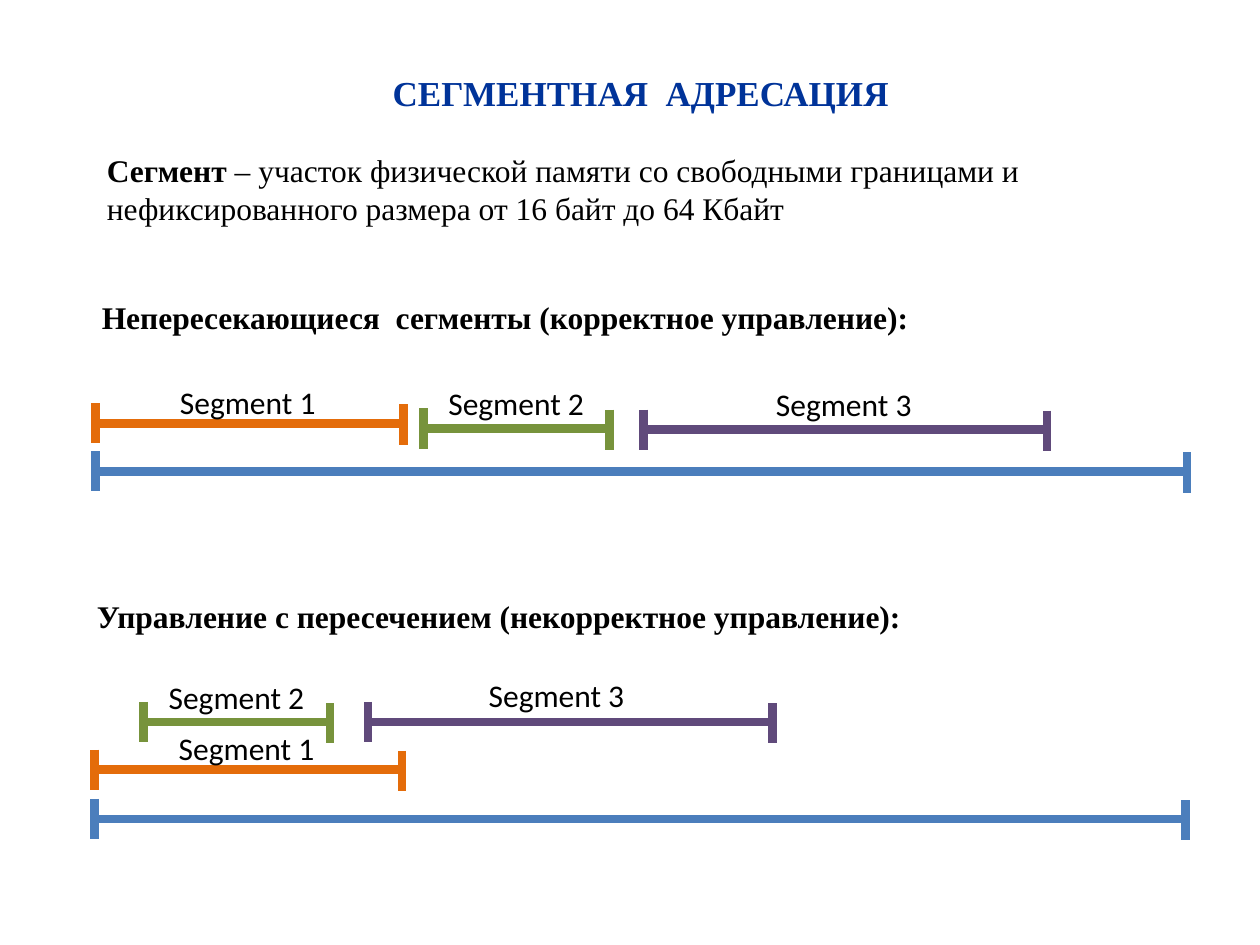
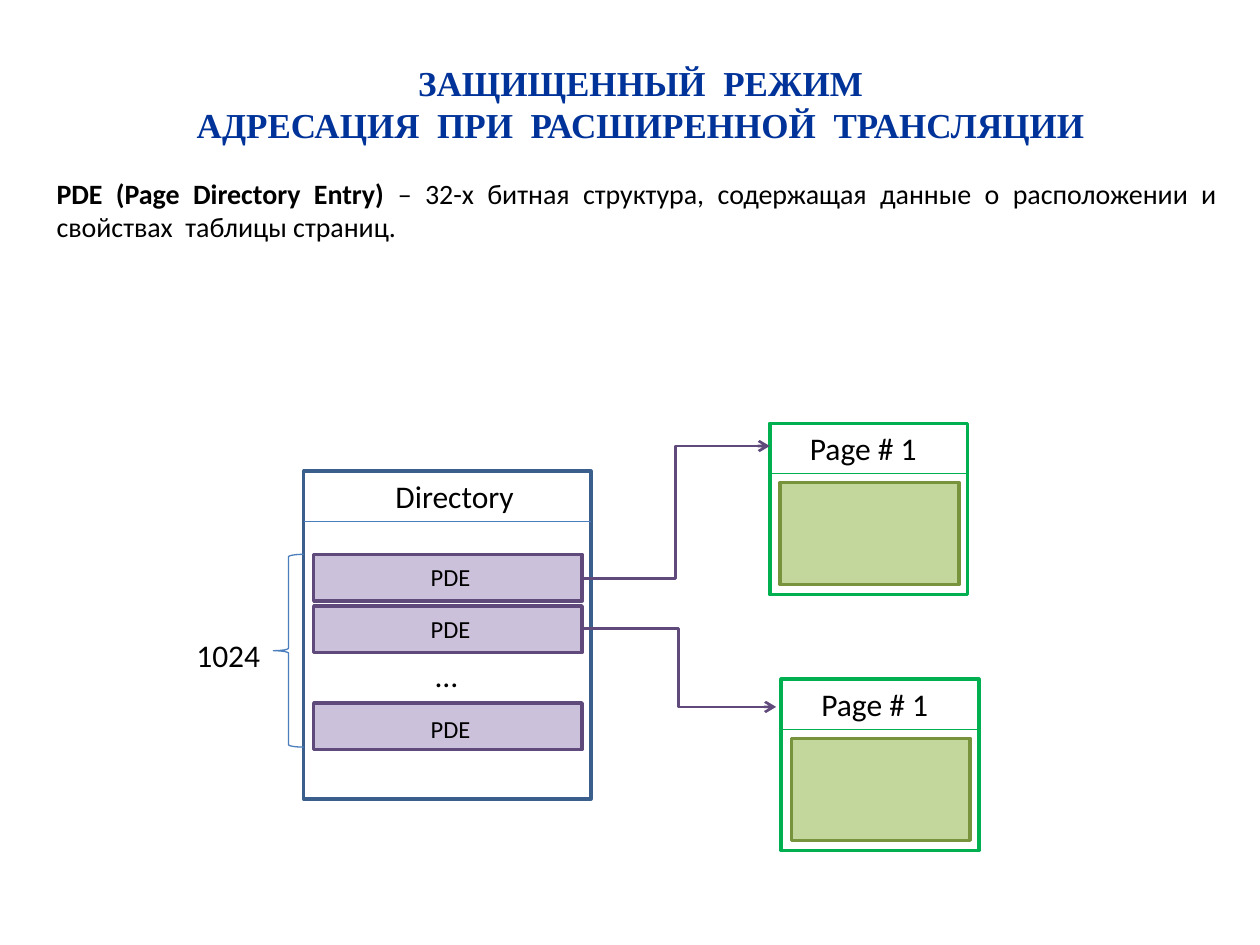
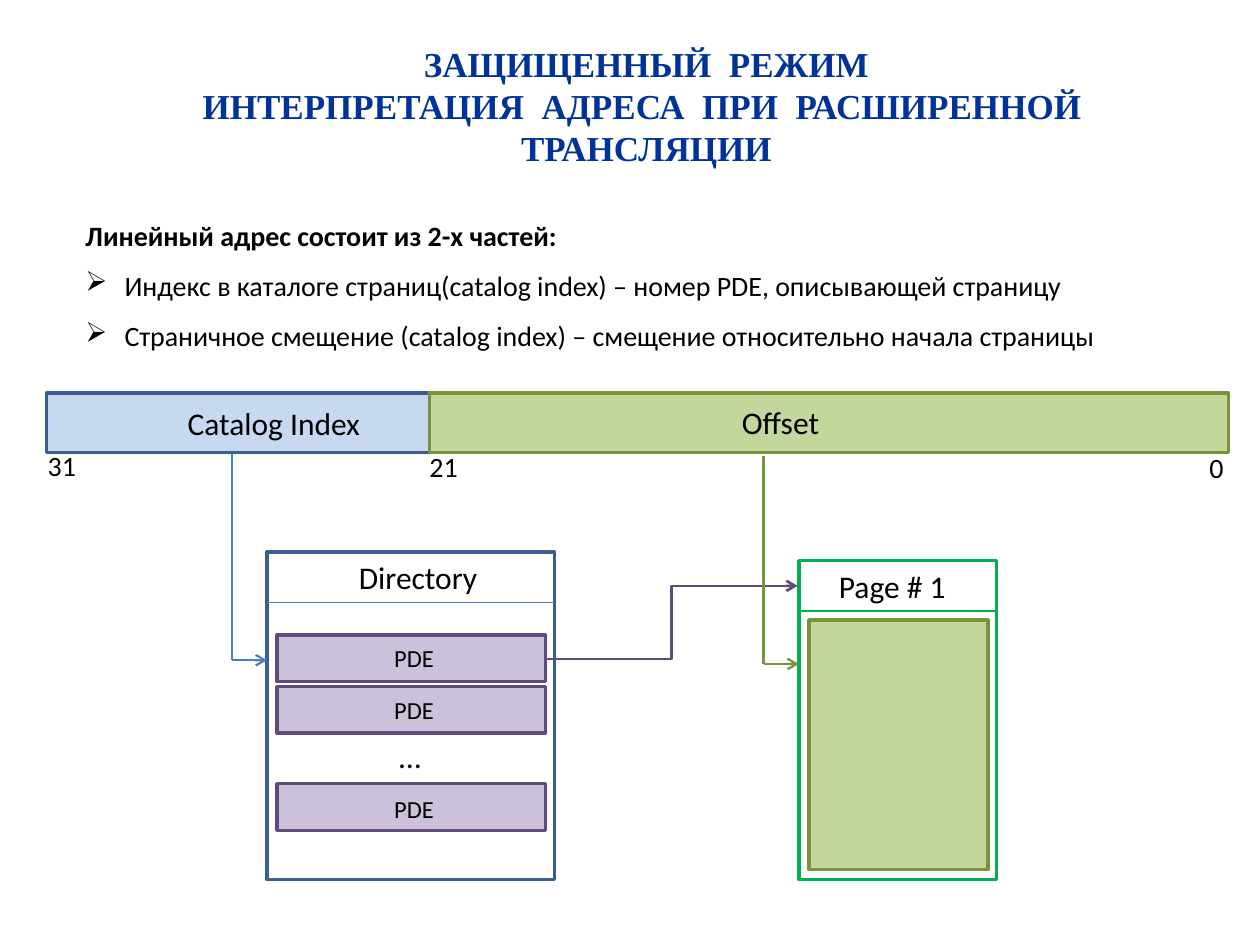
from dataclasses import dataclass

from pptx import Presentation
from pptx import util as u
from pptx.dml.color import RGBColor
from pptx.enum import shapes as es
from pptx.enum import text as et
from pptx.oxml import ns
from lxml import etree

PX = 9144  # EMU in one px, 100 px to the inch


@dataclass(frozen=True)
class Theme:
    serif: str = "Times New Roman"
    sans: str = "Calibri"
    title: str = "003399"
    ink: str = "000000"
    blue: str = "4B7EBC"
    navy: str = "3A5F8C"
    sky: str = "C6D9F1"
    orange: str = "E46C0A"
    olive: str = "77933C"
    lime: str = "C3D69B"
    plum: str = "604A7B"
    lilac: str = "CCC1DA"
    green: str = "00B050"
    head: int = 20
    body: int = 18
    note: int = 16
    small: int = 14
    bar: float = 5
    frame: float = 2
    link: float = 1.5
    drop: float = 1.25
    hair: float = 0.75


T = Theme()
LEFT, MID, JUST = et.PP_ALIGN.LEFT, et.PP_ALIGN.CENTER, et.PP_ALIGN.JUSTIFY


def px(*sizes):
    return [u.Emu(s * PX) for s in sizes]


def rgb(code):
    return RGBColor.from_string(code)


def add_run(para, words, size, font=T.sans, bold=False, color=T.ink):
    run = para.add_run()
    run.text = words
    run.font.name = font
    run.font.size = u.Pt(size)
    run.font.bold = bold
    run.font.color.rgb = rgb(color)


def add_text(slide, box, wrap=True):
    frame = slide.shapes.add_textbox(*px(*box)).text_frame
    frame.word_wrap = wrap
    frame.auto_size = et.MSO_AUTO_SIZE.SHAPE_TO_FIT_TEXT
    return frame


def label(slide, box, words, size=T.body, font=T.sans, bold=False, wrap=False):
    para = add_text(slide, box, wrap).paragraphs[0]
    add_run(para, words, size, font, bold)
    return para


def title(slide, box, *lines):
    frame = add_text(slide, box)
    for i, words in enumerate(lines):
        para = frame.add_paragraph() if i else frame.paragraphs[0]
        para.alignment = MID
        add_run(para, words, T.head, T.serif, True, T.title)


def term(slide, box, name, rest, size, font, align):
    """Bold term followed by its plain definition."""
    para = label(slide, box, name, size, font, True, True)
    para.alignment = align
    add_run(para, rest, size, font)


def outline(slide, box, color, fill=None, width=T.frame,
            kind=es.MSO_SHAPE.RECTANGLE):
    shape = slide.shapes.add_shape(kind, *px(*box))
    shape.shadow.inherit = False
    if fill:
        shape.fill.solid()
        shape.fill.fore_color.rgb = rgb(fill)
    else:
        shape.fill.background()
    shape.line.color.rgb = rgb(color)
    shape.line.width = u.Pt(width)


def line(host, start, end, color, width, arrow=False, bent=False):
    kind = es.MSO_CONNECTOR.ELBOW if bent else es.MSO_CONNECTOR.STRAIGHT
    link = host.shapes.add_connector(kind, *px(*start, *end))
    link.line.color.rgb = rgb(color)
    link.line.width = u.Pt(width)
    props = link.element.spPr
    if arrow:
        etree.SubElement(props.find(ns.qn("a:ln")), ns.qn("a:tailEnd"), type="arrow")
    etree.SubElement(props, ns.qn("a:effectLst"))


def span(slide, x, y, width, color):
    """Memory range: a bar with a tick at each end."""
    group = slide.shapes.add_group_shape()
    line(group, (x, y), (x + width, y), color, T.bar)
    for end, dip in ((x, 0), (x + width, 1)):
        line(group, (end, y - 16 + dip), (end, y + 16 + dip), color, T.bar)


def memory(slide, x, y, parts):
    """Whole memory at (x, y) with segments and labels placed from there."""
    span(slide, x, y, 866, T.blue)
    for number, dx, dy, width, color, tx, ty in parts:
        span(slide, x + dx, y + dy, width, color)
        label(slide, (x + tx, y + ty, 129, 40), f"Segment {number}")


def directory(slide, x, y):
    outline(slide, (x, y, 228, 260), T.navy)
    label(slide, (x + 63, y, 115, 40), "Directory")
    line(slide, (x, y + 40), (x + 228, y + 40), T.blue, T.hair)
    for top, shift in ((66, -4), (107, -4), (184, -2)):
        outline(slide, (x + 8, y + top, 213, 37), T.plum, T.lilac)
        para = label(slide, (x + 91, y + top + shift, 58, 40), "PDE", T.small)
        add_run(para, " ", T.body)
    label(slide, (x + 95, y + 142, 38, 40), "…")


def page(slide, x, y, height):
    outline(slide, (x, y, 157, height), T.green)
    label(slide, (x + 22, y, 106, 40), "Page # 1")
    line(slide, (x - 1, y + 40), (x + 157, y + 40), T.green, T.hair)
    outline(slide, (x + 8, y + 47, 142, height - 55), T.olive, T.lime)


def address(slide, x, y):
    """Linear address strip with its bit numbers."""
    outline(slide, (x, y, 304, 47), T.navy, T.sky)
    outline(slide, (x + 304, y, 634, 47), T.olive, T.lime)
    label(slide, (x + 102, y + 4, 159, 40), "Catalog Index")
    label(slide, (x + 542, y + 3, 157, 40), "Offset", wrap=True)
    for bit, dx, dy, width in (("31", -9, 39, 43), ("21", 294, 40, 43),
                               ("0", 913, 41, 38)):
        label(slide, (x + dx, y + dy, width, 37), bit, T.note)


def pointer(slide, x, y, height, color):
    """Line down from the strip, then an arrow to the right."""
    line(slide, (x, y), (x, y + height), color, T.drop)
    line(slide, (x, y + height), (x + 28, y + height), color, T.drop, arrow=True)


def parts_list(slide, box, lead, items):
    frame = add_text(slide, box)
    for i, words in enumerate((lead, *items)):
        para = frame.add_paragraph() if i else frame.paragraphs[0]
        if i:
            props = para._p.get_or_add_pPr()
            props.set("marL", str(31 * PX))
            props.set("indent", str(-31 * PX))
            etree.SubElement(props, ns.qn("a:buChar"), char="➢")
        para.alignment = JUST
        para.line_spacing = 1.5
        add_run(para, words, T.note, bold=not i)


def segments(slide):
    title(slide, (106, 52, 805, 44), "СЕГМЕНТНАЯ  АДРЕСАЦИЯ")
    memory(slide, 76, 374, (
        (1, 0, -38, 244, T.orange, 57, -75),
        (2, 260, -34, 148, T.olive, 270, -74),
        (3, 435, -33, 320, T.plum, 530, -73)))
    memory(slide, 75, 650, (
        (1, 0, -39, 244, T.orange, 57, -76),
        (2, 39, -77, 148, T.olive, 49, -117),
        (3, 217, -77, 321, T.plum, 303, -118)))
    label(slide, (71, 232, 667, 40),
          "Непересекающиеся  сегменты (корректное управление):",
          font=T.serif, bold=True)
    label(slide, (67, 469, 665, 40),
          "Управление с пересечением (некорректное управление):",
          font=T.serif, bold=True)
    term(slide, (75, 115, 850, 71), "Сегмент",
         " – участок физической памяти со свободными границами и "
         "нефиксированного размера от 16 байт до 64 Кбайт",
         T.body, T.serif, LEFT)


def entries(slide):
    title(slide, (106, 44, 805, 77), "ЗАЩИЩЕННЫЙ  РЕЖИМ",
          "АДРЕСАЦИЯ  ПРИ  РАСШИРЕННОЙ  ТРАНСЛЯЦИИ")
    term(slide, (35, 135, 941, 64), "PDE (Page Directory Entry) ",
         "– 32-х битная структура, содержащая данные о расположении и "
         "свойствах  таблицы страниц.", T.note, T.sans, JUST)
    directory(slide, 241, 374)
    outline(slide, (217, 440, 24, 153), T.blue, width=T.hair,
            kind=es.MSO_SHAPE.LEFT_BRACE)
    label(slide, (146, 500, 71, 40), "1024")
    page(slide, 611, 336, 136)
    page(slide, 620, 539, 136)
    for start, end in (((461, 459), (611, 354)), ((461, 499), (616, 561))):
        line(slide, start, end, T.plum, T.link, arrow=True, bent=True)


def lookup(slide):
    title(slide, (49, 29, 928, 111), "ЗАЩИЩЕННЫЙ  РЕЖИМ",
          "ИНТЕРПРЕТАЦИЯ  АДРЕСА  ПРИ  РАСШИРЕННОЙ  ТРАНСЛЯЦИИ")
    parts_list(slide, (58, 155, 892, 131), "Линейный адрес состоит из 2-х частей:", (
        "Индекс в каталоге страниц(catalog index) – номер PDE, "
        "описывающей страницу",
        "Страничное смещение (catalog index) – смещение относительно "
        "начала страницы"))
    directory(slide, 212, 438)
    page(slide, 634, 445, 253)
    line(slide, (433, 523), (633, 465), T.plum, T.link, arrow=True, bent=True)
    address(slide, 37, 312)
    pointer(slide, 184, 360, 164, T.blue)
    pointer(slide, 606, 362, 165, T.olive)


def main():
    deck = Presentation()
    deck.slide_width, deck.slide_height = px(1000, 750)
    for build in (segments, entries, lookup):
        build(deck.slides.add_slide(deck.slide_layouts[6]))
    deck.save("out.pptx")


if __name__ == "__main__":
    main()
